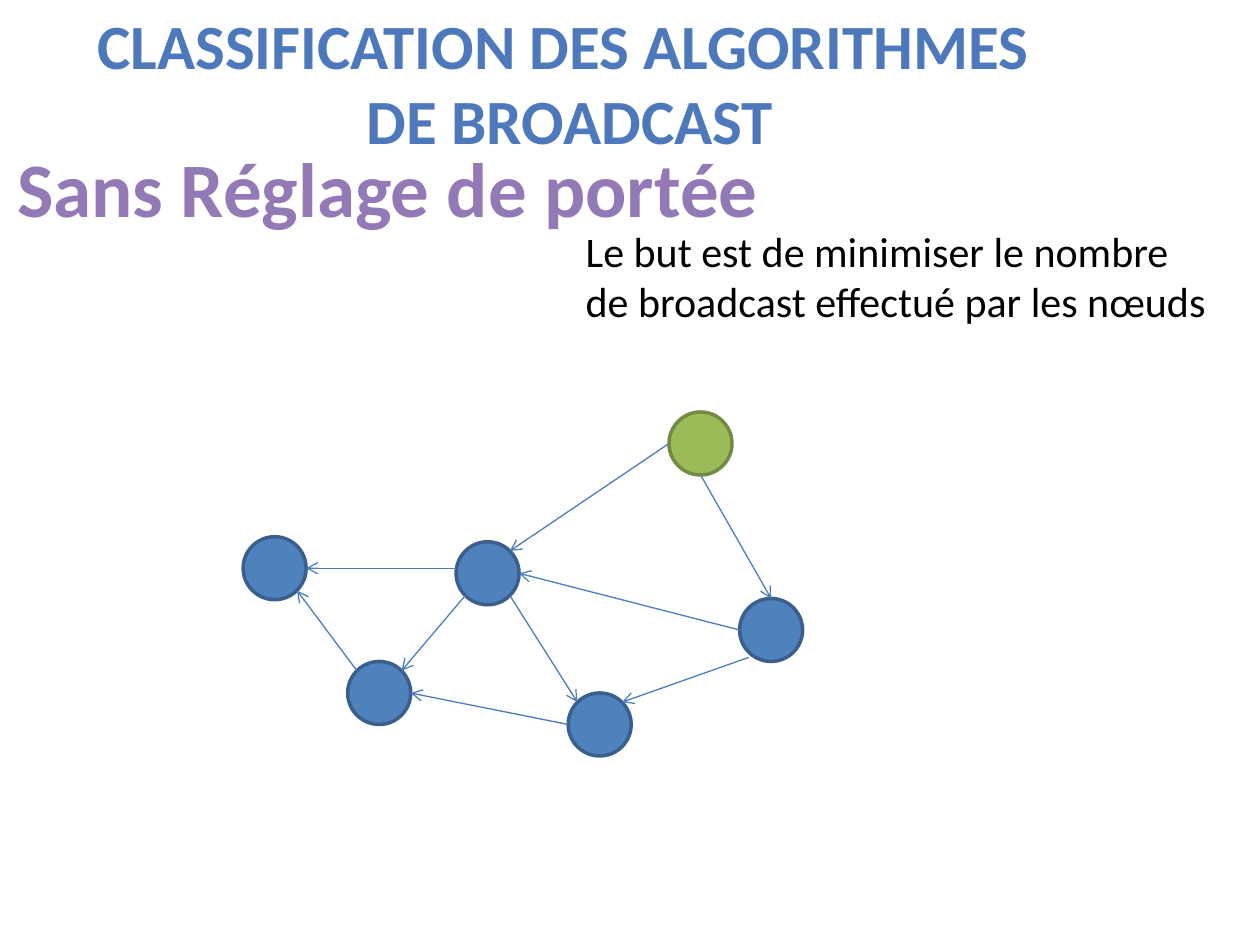
from lxml import etree
from pptx import Presentation
from pptx.dml.color import RGBColor
from pptx.enum.shapes import MSO_CONNECTOR, MSO_SHAPE
from pptx.enum.text import MSO_AUTO_SIZE, PP_ALIGN
from pptx.oxml.ns import qn
from pptx.util import Inches, Pt

COLORS = {
    "title": "4D79BC",
    "subtitle": "9379B5",
    "text": "000000",
    "node": "4F81BD",
    "node_line": "3A5F8C",
    "source": "9BBB59",
    "source_line": "738A42",
    "link": "4B7EBC",
}
RADIUS = 0.25
DIAG = 0.71
SIDES = {
    "top": (0, -1), "bottom": (0, 1), "left": (-1, 0), "right": (1, 0),
    "top_left": (-DIAG, -DIAG), "top_right": (DIAG, -DIAG),
    "bottom_left": (-DIAG, DIAG), "bottom_right": (DIAG, DIAG),
}
NODES = {
    "south_west": (3.01, 5.5),
    "west": (2.18, 4.51),
    "relay": (3.87, 4.55),
    "south": (4.76, 5.75),
    "east": (6.12, 5),
    "source": (5.56, 3.52),
}
LINKS = [
    ("source", "left", "relay", "top_right", 0),
    ("source", "bottom", "east", "top", 0),
    ("relay", "left", "west", "right", -0.04),
    ("relay", "bottom_left", "south_west", "top_right", 0),
    ("relay", "bottom_right", "south", "top_left", 0),
    ("east", "left", "relay", "right", 0),
    ("east", "bottom_left", "south", "top_right", 0.04),
    ("south", "left", "south_west", "right", 0),
    ("south_west", "top_left", "west", "bottom_right", 0),
]


def rgb(name):
    return RGBColor.from_string(COLORS[name])


def add_text(slide, box, lines, color, align, font):
    tf = slide.shapes.add_textbox(*map(Inches, box)).text_frame
    tf.word_wrap = False
    tf.auto_size = MSO_AUTO_SIZE.SHAPE_TO_FIT_TEXT
    for i, line in enumerate(lines):
        p = tf.add_paragraph() if i else tf.paragraphs[0]
        p.alignment = align
        r = p.add_run()
        r.text = line
        r.font.color.rgb = rgb(color)
        for key, value in font.items():
            setattr(r.font, key, value)


def add_node(slide, center, color):
    x, y = center
    box = (x - RADIUS, y - RADIUS, 2 * RADIUS, 2 * RADIUS)
    sp = slide.shapes.add_shape(MSO_SHAPE.OVAL, *map(Inches, box))
    sp.shadow.inherit = False
    sp.fill.solid()
    sp.fill.fore_color.rgb = rgb(color)
    sp.line.color.rgb = rgb(color + "_line")
    sp.line.width = Pt(2)


def rim_point(node, side):
    (x, y), (dx, dy) = NODES[node], SIDES[side]
    return x + RADIUS * dx, y + RADIUS * dy


def add_link(slide, start, end):
    cx = slide.shapes.add_connector(
        MSO_CONNECTOR.STRAIGHT, *map(Inches, start + end))
    cx.line.color.rgb = rgb("link")
    cx.line.width = Pt(0.75)
    etree.SubElement(cx.line._get_or_add_ln(), qn("a:tailEnd"), type="arrow")
    etree.SubElement(cx._element.spPr, qn("a:effectLst"))


def main():
    prs = Presentation()
    prs.slide_width, prs.slide_height = Inches(10), Inches(7.5)
    slide = prs.slides.add_slide(prs.slide_layouts[6])

    heading = {"name": "Calibri", "bold": True}
    add_text(slide, (0.63, 0, 7.79, 1.31),
             ["CLASSIFICATION DES ALGORITHMES ", "DE BROADCAST"],
             "title", PP_ALIGN.CENTER, {**heading, "size": Pt(36)})
    add_text(slide, (0.01, 1.07, 6.14, 0.84), ["Sans Réglage de portée"],
             "subtitle", PP_ALIGN.CENTER, {**heading, "size": Pt(44)})
    add_text(slide, (4.55, 1.74, 5.18, 0.91),
             ["Le but est de minimiser le nombre",
              "de broadcast effectué par les nœuds"],
             "text", PP_ALIGN.LEFT, {"name": "Calibri", "size": Pt(24)})

    for name, center in NODES.items():
        add_node(slide, center, "source" if name == "source" else "node")
    for origin, origin_side, target, target_side, shift in LINKS:
        x, y = rim_point(origin, origin_side)
        add_link(slide, (x, y + shift), rim_point(target, target_side))

    prs.save("out.pptx")


if __name__ == "__main__":
    main()
